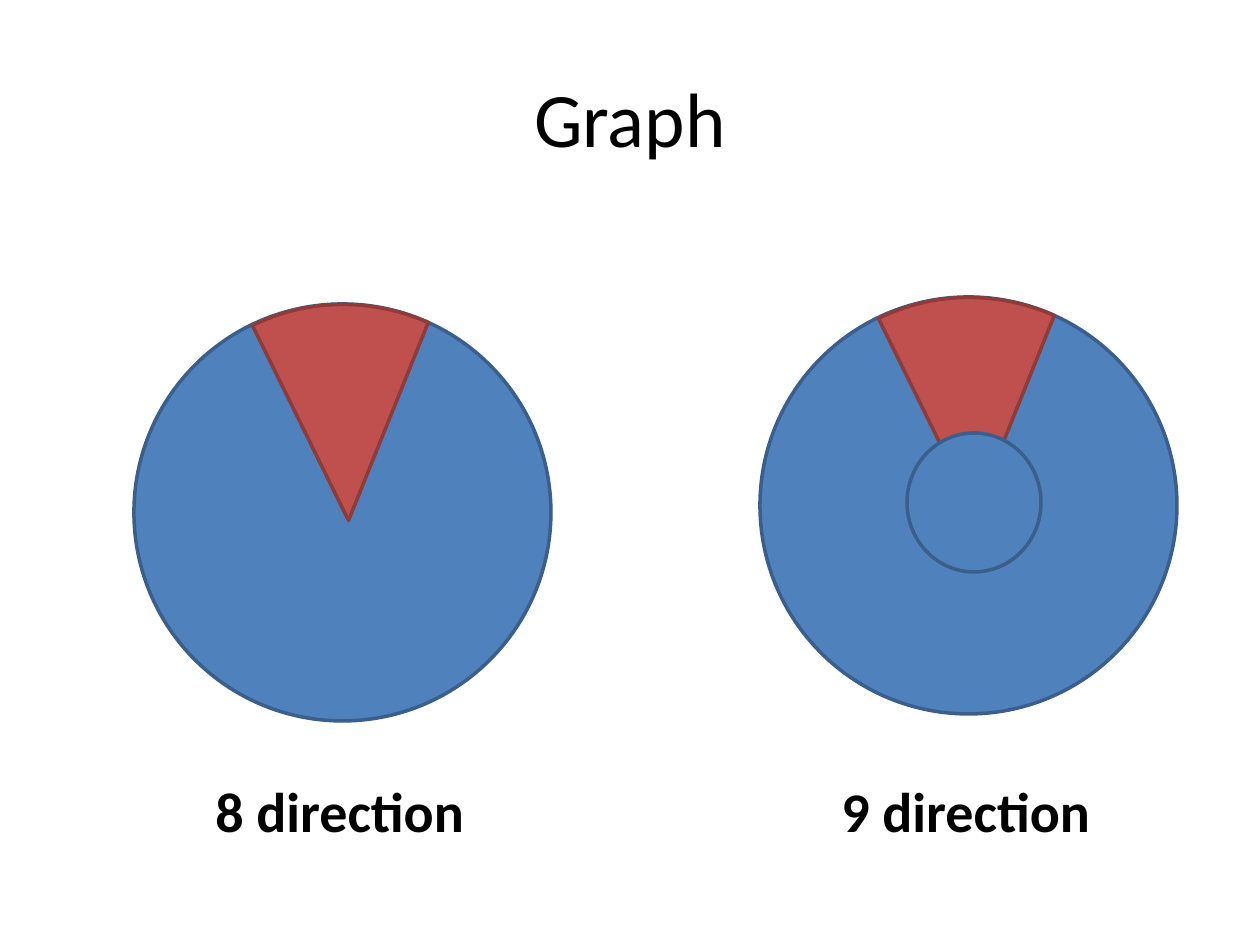
from pptx import Presentation
from pptx.dml.color import RGBColor
from pptx.enum.shapes import MSO_SHAPE
from pptx.enum.text import MSO_ANCHOR, PP_ALIGN
from pptx.util import Emu, Pt

OVAL, PIE = MSO_SHAPE.OVAL, MSO_SHAPE.PIE
MIDDLE, TOP = MSO_ANCHOR.MIDDLE, MSO_ANCHOR.TOP
LEFT, CENTER = PP_ALIGN.LEFT, PP_ALIGN.CENTER
EMU_PER_PX = 914400 / 126
BLUE, DARK_BLUE = "4F81BD", "3A5F8C"
RED, DARK_RED = "C0504D", "8E3B39"

presentation = Presentation()
presentation.slide_width = Emu(round(1260 * EMU_PER_PX))
presentation.slide_height = Emu(round(945 * EMU_PER_PX))
slide = presentation.slides.add_slide(presentation.slide_layouts[6])


def add_figure(kind, box, fill, line):
    figure = slide.shapes.add_shape(kind, *[Emu(round(v * EMU_PER_PX)) for v in box])
    figure.shadow.inherit = False
    figure.fill.solid()
    figure.fill.fore_color.rgb = RGBColor.from_string(fill)
    figure.line.color.rgb = RGBColor.from_string(line)
    figure.line.width = Pt(2)
    return figure


def add_text(text, box, size, bold, align, anchor):
    frame = slide.shapes.add_textbox(*[Emu(round(v * EMU_PER_PX)) for v in box]).text_frame
    frame.word_wrap = True
    frame.vertical_anchor = anchor
    frame.text = text
    paragraph = frame.paragraphs[0]
    paragraph.alignment = align
    font = paragraph.runs[0].font
    font.name = "Calibri"
    font.size = Pt(size)
    font.bold = bold
    font.color.rgb = RGBColor.from_string("000000")


add_text("Graph", (63, 38, 1134, 158), 44, False, CENTER, MIDDLE)

for caption, disc_x, disc_y in (("8 direction", 134, 304), ("9 direction", 760, 297)):
    add_figure(OVAL, (disc_x, disc_y, 417, 417), BLUE, DARK_BLUE)
    sector = add_figure(PIE, (disc_x - 3, disc_y + 6, 435, 421), RED, DARK_RED)
    sector.rotation = 243.4
    sector.adjustments[0] = 0.235
    sector.adjustments[1] = 29.119
    add_text(caption, (disc_x + 69, 770, 277, 81), 32, True, LEFT, TOP)

add_figure(OVAL, (907, 433, 134, 139), BLUE, DARK_BLUE)

presentation.save("out.pptx")
